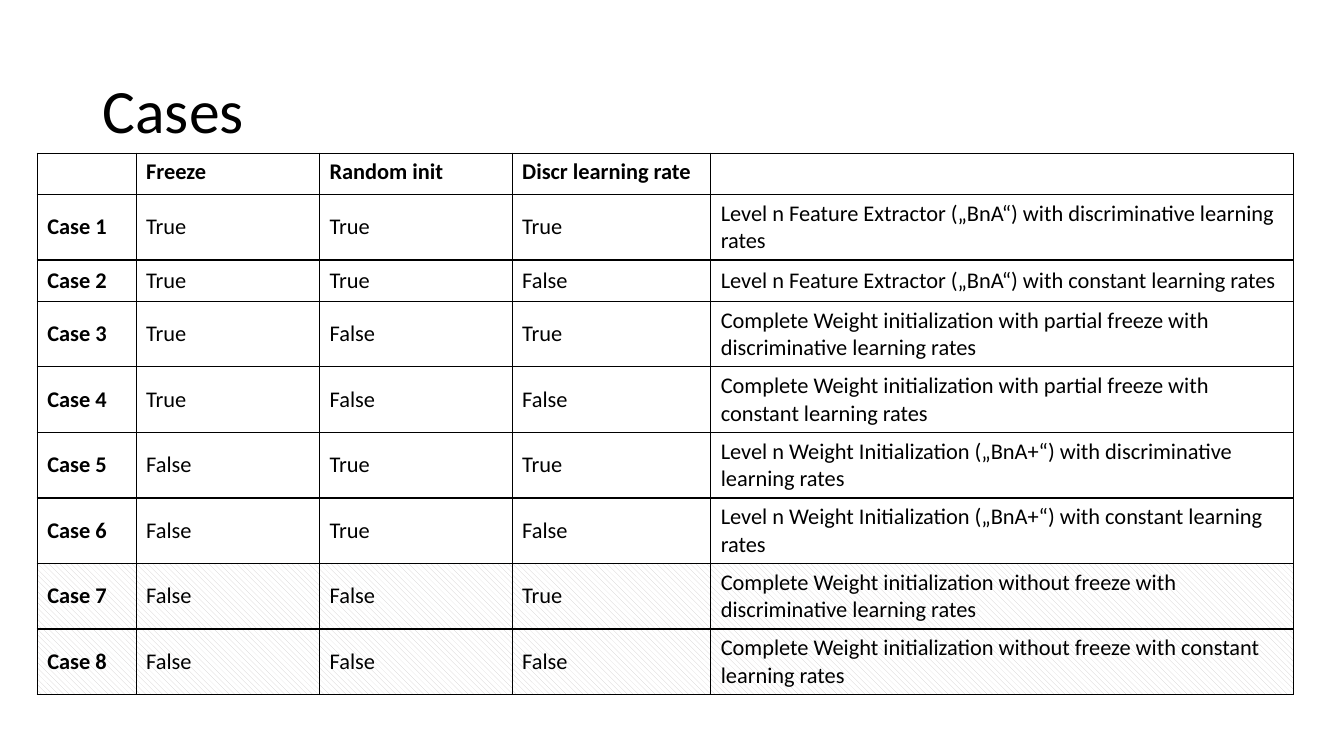
from itertools import product

from lxml import etree
from pptx import Presentation
from pptx.dml.color import RGBColor
from pptx.enum.dml import MSO_PATTERN
from pptx.enum.text import MSO_ANCHOR
from pptx.oxml.ns import qn
from pptx.util import Inches, Pt

HATCH = MSO_PATTERN.WIDE_DOWNWARD_DIAGONAL
MIDDLE, TOP = MSO_ANCHOR.MIDDLE, MSO_ANCHOR.TOP
FONT = "Calibri"
BLACK, WHITE, GREY = "000000", "FFFFFF", "D0CECE"

TITLE = "Cases"
HEADINGS = ["", "Freeze", "Random init", "Discr learning rate", ""]
STRATEGIES = {
    (True, True): "Level n Feature Extractor („BnA“)",
    (True, False): "Complete Weight initialization with partial freeze",
    (False, True): "Level n Weight Initialization („BnA+“)",
    (False, False): "Complete Weight initialization without freeze",
}
RATES = {True: "discriminative", False: "constant"}

COLUMN_WIDTHS = [0.98, 1.82, 1.91, 1.97, 5.78]
LINE_HEIGHT, ROW_PADDING = 0.24, 0.17
LINE_CHARACTERS = 64
TABLE_LEFT, TABLE_TOP = 0.37, 1.52


def color(value):
    return RGBColor.from_string(value)


def write(frame, text, size=16, bold=False, spacing=1.0):
    paragraph = frame.paragraphs[0]
    paragraph.line_spacing = spacing
    run = paragraph.add_run()
    run.text = text
    run.font.name = FONT
    run.font.size = Pt(size)
    run.font.bold = bold
    run.font.color.rgb = color(BLACK)


def outline(cell):
    properties = cell._tc.get_or_add_tcPr()
    for side in ("lnL", "lnR", "lnT", "lnB"):
        edge = etree.SubElement(properties, qn(f"a:{side}"), w=str(Pt(1)))
        fill = etree.SubElement(edge, qn("a:solidFill"))
        etree.SubElement(fill, qn("a:srgbClr"), val=BLACK)


def paint(cell, hatched):
    if hatched:
        cell.fill.patterned()
        cell.fill.pattern = HATCH
        cell.fill.fore_color.rgb = color(GREY)
        cell.fill.back_color.rgb = color(WHITE)
    else:
        cell.fill.background()


rows = [(HEADINGS, False)]
for number, (freeze, random_init, discriminative) in enumerate(product((True, False), repeat=3), 1):
    description = f"{STRATEGIES[freeze, random_init]} with {RATES[discriminative]} learning rates"
    flags = [str(flag) for flag in (freeze, random_init, discriminative)]
    rows.append(([f"Case {number}", *flags, description], not (freeze or random_init)))

row_heights = [
    ROW_PADDING + LINE_HEIGHT * (2 if len(texts[-1]) > LINE_CHARACTERS else 1)
    for texts, _ in rows
]

deck = Presentation()
deck.slide_width, deck.slide_height = Inches(13.33), Inches(7.5)
slide = deck.slides.add_slide(deck.slide_layouts[6])

heading = slide.shapes.add_textbox(Inches(0.92), Inches(0.4), Inches(11.5), Inches(1.45)).text_frame
heading.word_wrap = True
heading.vertical_anchor = MIDDLE
write(heading, TITLE, size=44, spacing=0.9)

cases = slide.shapes.add_table(
    len(rows), len(HEADINGS), Inches(TABLE_LEFT), Inches(TABLE_TOP),
    Inches(sum(COLUMN_WIDTHS)), Inches(sum(row_heights)),
).table
cases.horz_banding = False
for column, width in zip(cases.columns, COLUMN_WIDTHS):
    column.width = Inches(width)

for row_index, (texts, hatched) in enumerate(rows):
    cases.rows[row_index].height = Inches(row_heights[row_index])
    for column_index, text in enumerate(texts):
        cell = cases.cell(row_index, column_index)
        cell.vertical_anchor = MIDDLE if row_index else TOP
        outline(cell)
        paint(cell, hatched)
        write(cell.text_frame, text, bold=row_index == 0 or column_index == 0)

deck.save("out.pptx")
